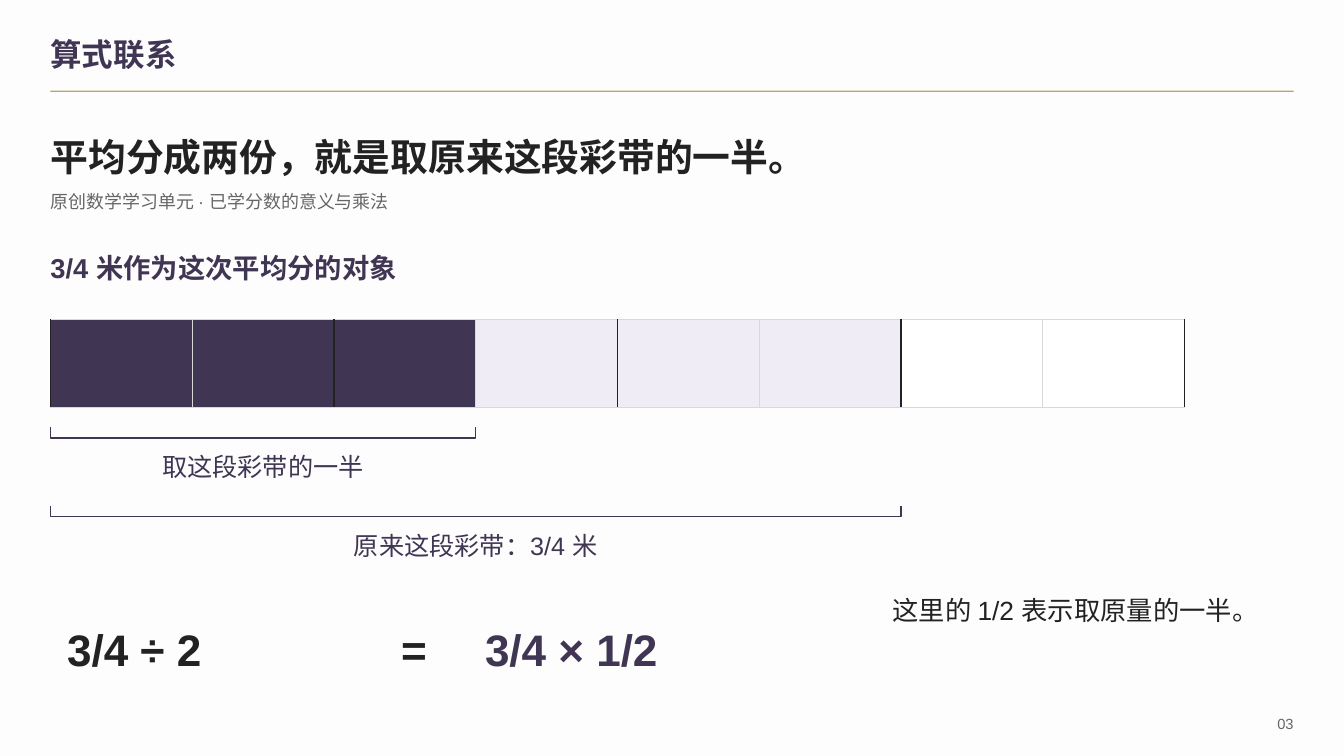
from dataclasses import dataclass

from lxml import etree
from pptx import Presentation
from pptx.dml.color import RGBColor
from pptx.enum.shapes import MSO_CONNECTOR, MSO_SHAPE
from pptx.enum.text import MSO_ANCHOR, MSO_AUTO_SIZE, PP_ALIGN
from pptx.oxml.ns import qn
from pptx.util import Pt

RECTANGLE = MSO_SHAPE.RECTANGLE
STRAIGHT = MSO_CONNECTOR.STRAIGHT
TOP, MIDDLE = MSO_ANCHOR.TOP, MSO_ANCHOR.MIDDLE
LEFT, CENTER, RIGHT = PP_ALIGN.LEFT, PP_ALIGN.CENTER, PP_ALIGN.RIGHT
GROW = MSO_AUTO_SIZE.SHAPE_TO_FIT_TEXT
TITLE_ONLY = 5


@dataclass(frozen=True)
class Theme:
    """Colours, font and type sizes of the deck."""
    font: str = "Arial"
    paper: str = "FDFDFE"
    gold: str = "BCA36D"
    plum: str = "403653"
    lilac: str = "F0ECF5"
    white: str = "FFFFFF"
    grid: str = "D8D8D8"
    ink: str = "222222"
    grey: str = "666666"
    title: float = 22.5
    statement: float = 27
    source: float = 12.8
    heading: float = 19.5
    label: float = 18
    note: float = 18.8
    formula: float = 31.5
    number: float = 10.5


THEME = Theme()


def colour(value):
    """Turn a hex string into a colour."""
    return RGBColor.from_string(value)


def write(shape, text, size, ink, bold=False, align=LEFT, spacing=1.0, anchor=TOP):
    """Fill a shape with one formatted paragraph without margins."""
    frame = shape.text_frame
    frame_format = {"margin_left": 0, "margin_right": 0, "margin_top": 0, "margin_bottom": 0,
                    "word_wrap": True, "auto_size": GROW, "vertical_anchor": anchor}
    for name, value in frame_format.items():
        setattr(frame, name, value)
    para = frame.paragraphs[0]
    for name, value in {"alignment": align, "line_spacing": spacing}.items():
        setattr(para, name, value)
    span = para.add_run()
    span.text = text
    for name, value in {"name": THEME.font, "size": Pt(size), "bold": bold}.items():
        setattr(span.font, name, value)
    span.font.color.rgb = colour(ink)


def add_text(page, box, text, size, ink, **options):
    """Add a text box at the given left, top, width and height."""
    write(page.shapes.add_textbox(*map(Pt, box)), text, size, ink, **options)


def add_block(page, box, fill, line=None):
    """Add a flat rectangle with an optional outline."""
    block = page.shapes.add_shape(RECTANGLE, *map(Pt, box))
    block.shadow.inherit = False
    block.fill.solid()
    block.fill.fore_color.rgb = colour(fill)
    if line:
        block.line.color.rgb = colour(line)
        block.line.width = Pt(0.56)
    else:
        block.line.fill.background()


def add_header(page, box):
    """Place the title and the gold rule below it."""
    left, top, width, height = box
    add_block(page, (left, top + height - 0.9, width, 0.9), THEME.gold)
    title = page.shapes.title
    place = {"left": left, "top": top, "width": 757.5, "height": 32.25}
    for name, value in place.items():
        setattr(title, name, Pt(value))
    write(title, "算式联系", THEME.title, THEME.plum, bold=True, anchor=MIDDLE)


def add_intro(page, box):
    """Place the statement, its source line and the diagram heading."""
    left, top, width, _ = box
    add_text(page, (left, top, width, 41), "平均分成两份，就是取原来这段彩带的一半。",
             THEME.statement, THEME.ink, bold=True, spacing=1.35)
    add_text(page, (left, top + 44, width, 24), "原创数学学习单元 · 已学分数的意义与乘法",
             THEME.source, THEME.grey, spacing=1.5)
    add_text(page, (left, top + 87, 637.5, 31), "3/4 米作为这次平均分的对象",
             THEME.heading, THEME.plum, bold=True, spacing=1.35)


def add_ribbon(page, box):
    """Draw the ribbon of eighths with a tick at every quarter."""
    left, top, width, height = box
    fills = [THEME.plum] * 3 + [THEME.lilac] * 3 + [THEME.white] * 2
    step = width / len(fills)
    for index, fill in enumerate(fills):
        add_block(page, (left + index * step, top, step, height), fill, THEME.grid)
    for index in range(0, len(fills) + 1, 2):
        x = Pt(left + index * step)
        tick = page.shapes.add_connector(STRAIGHT, x, Pt(top), x, Pt(top + height))
        tick.line.color.rgb = colour(THEME.ink)
        tick.line.width = Pt(0.97)
        etree.SubElement(tick.element.spPr, qn("a:effectLst"))


def add_bracket(page, box, text):
    """Draw an open bracket over a centred label."""
    left, top, width, height = box
    right, base = left + width, top + 7.5
    builder = page.shapes.build_freeform(Pt(left), Pt(top))
    corners = [(left, base), (right, base), (right, top)]
    builder.add_line_segments([(Pt(x), Pt(y)) for x, y in corners], close=False)
    bracket = builder.convert_to_shape()
    bracket.shadow.inherit = False
    bracket.fill.background()
    bracket.line.color.rgb = colour(THEME.plum)
    bracket.line.width = Pt(1.12)
    add_text(page, (left, top + 13, width, height - 13), text,
             THEME.label, THEME.plum, align=CENTER, spacing=1.2)


def add_equation(page, box):
    """Place the two equal expressions and the note beside them."""
    left, top, _, height = box
    terms = [(12, 225, "3/4 ÷ 2", THEME.ink), (250.5, 37.5, "=", THEME.ink),
             (310.5, 255, "3/4 × 1/2", THEME.plum)]
    for offset, width, text, ink in terms:
        add_text(page, (left + offset, top + 15, width, height - 15), text,
                 THEME.formula, ink, bold=True, spacing=1.35)
    add_text(page, (left + 601.5, top, 255, 55.5), "这里的 1/2 表示取原量的一半。",
             THEME.note, THEME.ink, spacing=1.35)


def add_page_number(page, box):
    """Place the page number."""
    add_text(page, box, "03", THEME.number, THEME.grey, align=RIGHT, anchor=MIDDLE)


def main():
    """Build the slide and save the deck."""
    deck = Presentation()
    deck.slide_width, deck.slide_height = Pt(960), Pt(540)
    page = deck.slides.add_slide(deck.slide_layouts[TITLE_ONLY])
    page.background.fill.solid()
    page.background.fill.fore_color.rgb = colour(THEME.paper)

    left, width, eighth = 36, 888, 101.25
    add_header(page, (left, 22.5, width, 43.2))
    add_intro(page, (left, 84.2, width, 118))
    add_ribbon(page, (left, 228, 8 * eighth, 63))
    add_bracket(page, (left, 305.25, 3 * eighth, 39), "取这段彩带的一半")
    add_bracket(page, (left, 361.5, 6 * eighth, 39), "原来这段彩带：3/4 米")
    add_equation(page, (left, 416.25, width, 62))
    add_page_number(page, (892.5, 507.75, 31.5, 18))
    deck.save("out.pptx")


if __name__ == "__main__":
    main()
